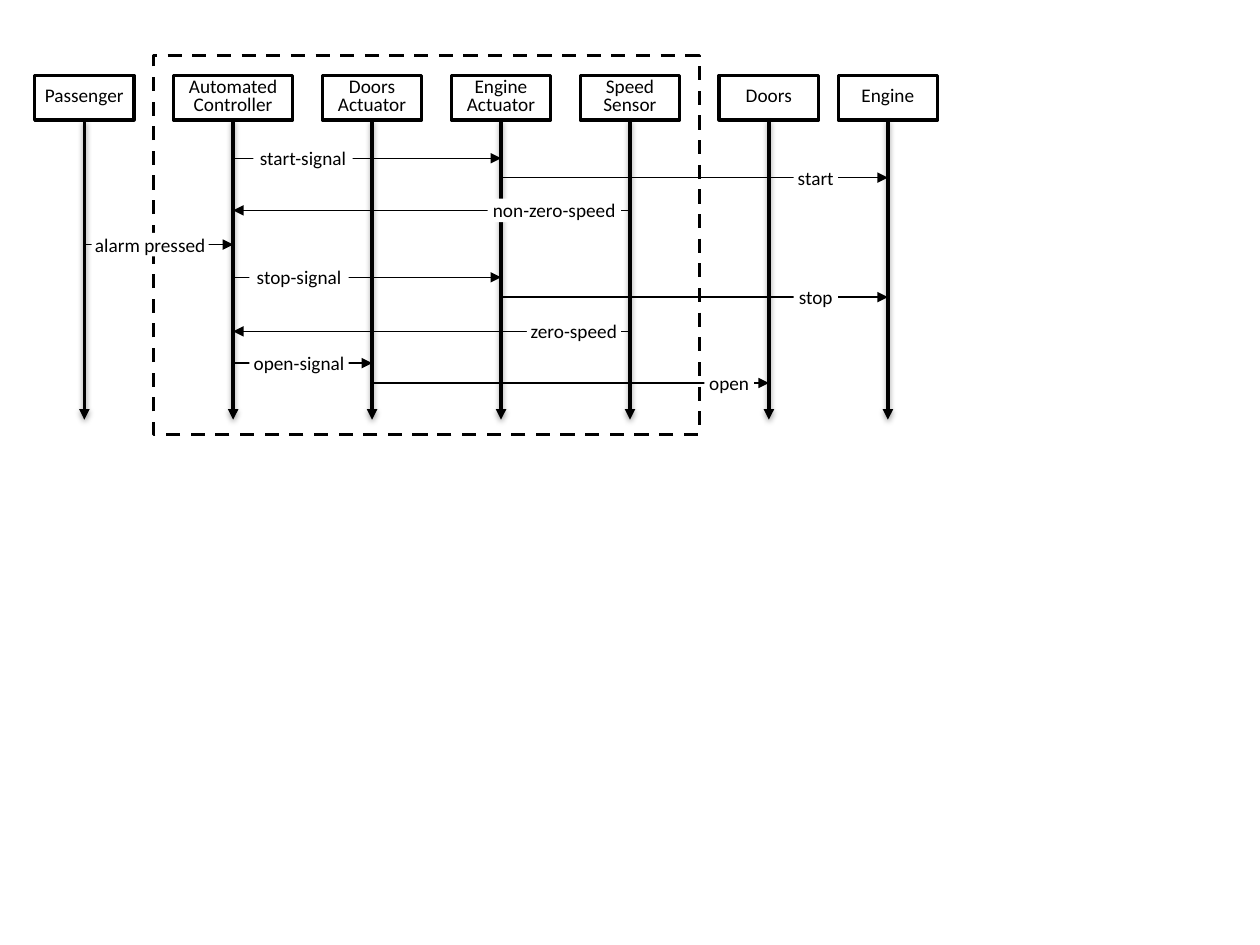
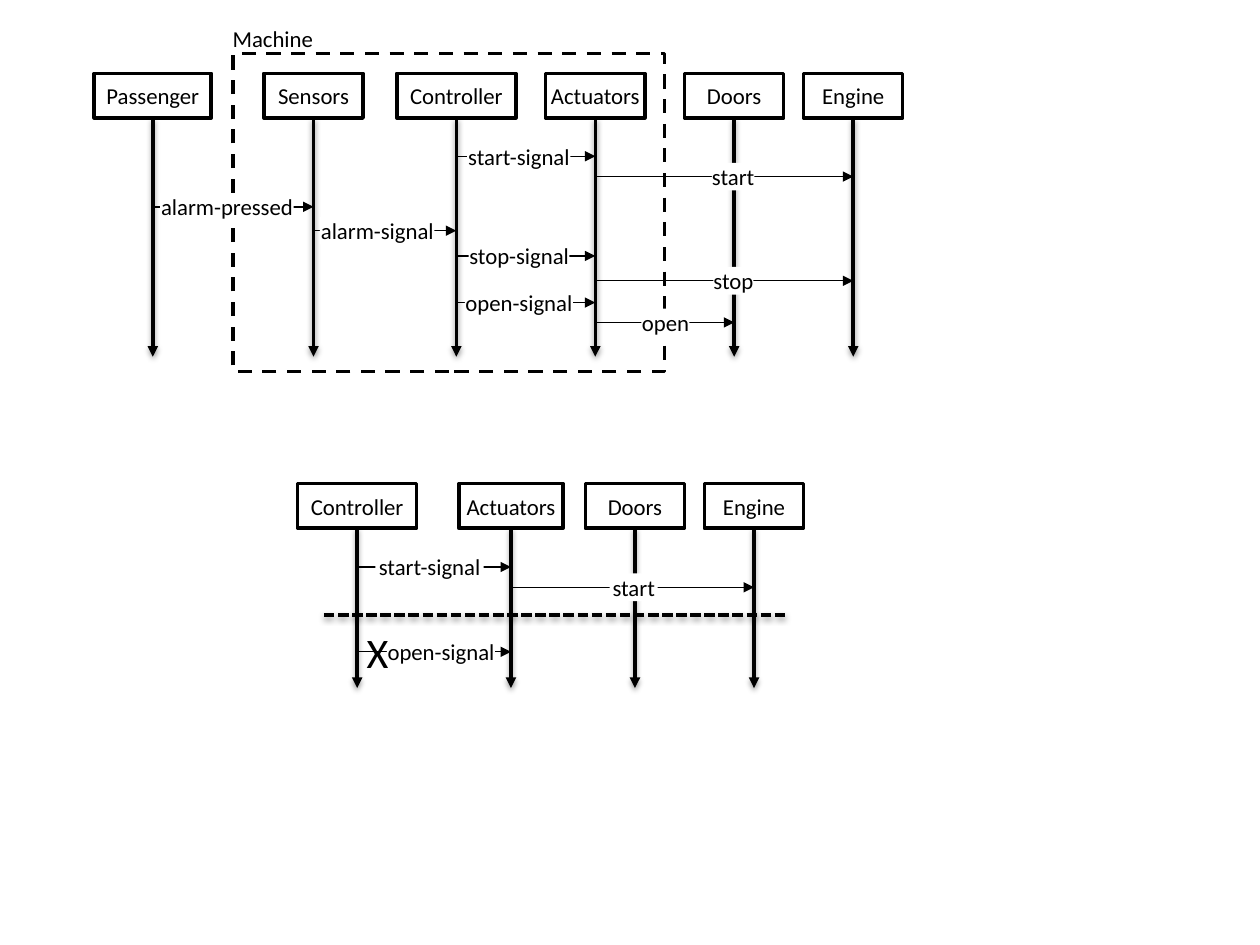
from dataclasses import dataclass

from lxml.etree import SubElement
from pptx import Presentation
from pptx.dml.color import RGBColor
from pptx.enum.dml import MSO_LINE
from pptx.enum.shapes import MSO_CONNECTOR, MSO_SHAPE
from pptx.enum.text import MSO_ANCHOR, MSO_AUTO_SIZE, PP_ALIGN
from pptx.oxml.ns import qn
from pptx.util import Cm, Pt


@dataclass(frozen=True)
class Theme:
    ink: RGBColor = RGBColor(0, 0, 0)
    paper: RGBColor = RGBColor(255, 255, 255)
    font: str = "Calibri"
    small: int = 11
    large: int = 13
    cross: int = 24
    thick: float = 2
    thin: float = 0.75


THEME = Theme()
HEAD = 0.9   # height of a participant box
PAD = 0.4    # frame top to participant boxes
FOOT = 0.3   # lifeline ends to frame bottom


def write(shape, text, size, pad, wrap=True, gap=None, align=PP_ALIGN.CENTER):
    """Fill a shape with one paragraph per line of text."""
    frame = shape.text_frame
    frame.word_wrap = wrap
    if pad is not None:
        side, edge = pad
        frame.margin_left = frame.margin_right = Cm(side)
        frame.margin_top = frame.margin_bottom = Cm(edge)
    for n, line in enumerate(text.split("\n")):
        para = frame.add_paragraph() if n else frame.paragraphs[0]
        para.alignment = align
        if gap:
            para.line_spacing = Pt(gap)
        run = para.add_run()
        run.text = line
        run.font.name = THEME.font
        run.font.size = Pt(size)
        run.font.color.rgb = THEME.ink
    return frame


class Sequence:
    """A sequence diagram placed relative to its box, in centimetres."""

    def __init__(self, slide, left, top, height, size, gap=None):
        self.shapes = slide.shapes.add_group_shape().shapes
        self.left, self.top, self.height = left, top, height
        self.size, self.gap = size, gap
        self.mids = []

    def rect(self, x, y, width, height, border=True):
        box = self.shapes.add_shape(
            MSO_SHAPE.RECTANGLE, Cm(self.left + x), Cm(self.top + y),
            Cm(width), Cm(height))
        box.shadow.inherit = False
        box.fill.solid()
        box.fill.fore_color.rgb = THEME.paper
        if border:
            box.line.color.rgb = THEME.ink
            box.line.width = Pt(THEME.thick)
        else:
            box.line.fill.background()
        return box

    def stroke(self, start, end, width, arrow=True, shade=False, dash=None):
        (x1, y1), (x2, y2) = start, end
        link = self.shapes.add_connector(
            MSO_CONNECTOR.STRAIGHT, Cm(self.left + x1), Cm(self.top + y1),
            Cm(self.left + x2), Cm(self.top + y2))
        link.line.color.rgb = THEME.ink
        link.line.width = Pt(width)
        if dash:
            link.line.dash_style = dash
        props = link._element.spPr
        if arrow:
            SubElement(props.find(qn("a:ln")), qn("a:tailEnd"), type="triangle")
        effects = SubElement(props, qn("a:effectLst"))
        if shade:
            cast = SubElement(effects, qn("a:outerShdw"), blurRad="40000",
                              dist="20000", dir="5400000", rotWithShape="0")
            tone = SubElement(cast, qn("a:srgbClr"), val=str(THEME.ink))
            SubElement(tone, qn("a:alpha"), val="38000")

    def frame(self, x, width, title=None):
        """Draw the dashed machine boundary, with its title above."""
        if title:
            tag = self.rect(x - 0.2, -0.61, 2, 0.61, border=False)
            write(tag, title, self.size, (0.1, 0.1))
            tag.text_frame.vertical_anchor = MSO_ANCHOR.MIDDLE
        edge = self.rect(x, 0, width, self.height)
        edge.line.dash_style = MSO_LINE.DASH

    def actors(self, *rows):
        """Draw boxes from (name, middle, width), then their lifelines."""
        for name, mid, width in rows:
            box = self.rect(mid - width / 2, PAD, width, HEAD)
            text = write(box, name, self.size, (0.1, 0.1), gap=self.gap)
            text.vertical_anchor = MSO_ANCHOR.MIDDLE
            self.mids.append(mid)
        for mid in self.mids:
            self.stroke((mid, PAD + HEAD), (mid, self.height - FOOT),
                        THEME.thick, shade=True)

    def calls(self, *rows):
        """Draw messages from (text, source, target, y, label x, label width)."""
        tall = self.size * 0.043
        for text, source, target, y, x, width in rows:
            self.stroke((self.mids[source], y), (self.mids[target], y), THEME.thin)
            tag = self.rect(x, y - tall / 2, width, tall, border=False)
            label = write(tag, text, self.size, (0, 0), wrap=False)
            label.vertical_anchor = MSO_ANCHOR.TOP
            label.auto_size = MSO_AUTO_SIZE.SHAPE_TO_FIT_TEXT

    def split(self, x1, x2, y):
        self.stroke((x1, y), (x2, y), THEME.thick, arrow=False, shade=True,
                    dash=MSO_LINE.SQUARE_DOT)

    def cross(self, x, y):
        mark = self.shapes.add_textbox(
            Cm(self.left + x), Cm(self.top + y), Cm(0.97), Cm(1.27))
        text = write(mark, "X", THEME.cross, None, wrap=False, align=PP_ALIGN.LEFT)
        text.auto_size = MSO_AUTO_SIZE.SHAPE_TO_FIT_TEXT


def alarm(slide):
    flow = Sequence(slide, 0.7, 1.12, 7.64, THEME.small, gap=10)
    flow.frame(2.4, 11)
    flow.actors(
        ("Passenger", 1, 2),
        ("Automated\nController", 4, 2.4),
        ("Doors Actuator", 6.8, 2),
        ("Engine\nActuator", 9.4, 2),
        ("Speed Sensor", 12, 2),
        ("Doors", 14.8, 2),
        ("Engine", 17.2, 2))
    flow.calls(
        ("alarm pressed", 0, 1, 3.81, 1.15, 2.36),
        ("start-signal", 1, 3, 2.07, 4.41, 2),
        ("start", 3, 6, 2.46, 15.3, 0.89),
        ("non-zero-speed", 4, 1, 3.12, 9.13, 2.69),
        ("stop-signal", 1, 3, 4.47, 4.33, 2),
        ("stop", 3, 6, 4.87, 15.3, 0.89),
        ("zero-speed", 4, 1, 5.56, 9.92, 1.9),
        ("open-signal", 1, 2, 6.2, 4.33, 2),
        ("open", 2, 5, 6.6, 13.5, 1))


def machine(slide):
    flow = Sequence(slide, 1.9, 1.08, 6.41, THEME.large)
    flow.frame(2.8, 8.7, "Machine")
    flow.actors(
        ("Passenger", 1.18, 2.36),
        ("Sensors", 4.42, 2),
        ("Controller", 7.3, 2.4),
        ("Actuators", 10.1, 2),
        ("Doors", 12.9, 2),
        ("Engine", 15.3, 2))
    flow.calls(
        ("alarm-pressed", 0, 1, 3.09, 1.33, 2.69),
        ("start-signal", 2, 3, 2.07, 7.52, 2.08),
        ("start", 3, 5, 2.48, 12.45, 0.86),
        ("stop-signal", 2, 3, 4.08, 7.55, 2.03),
        ("stop", 3, 5, 4.58, 12.48, 0.81),
        ("open-signal", 2, 3, 5.02, 7.47, 2.18),
        ("open", 3, 4, 5.42, 11.03, 0.97),
        ("alarm-signal", 1, 2, 3.57, 4.55, 2.31))


def banned(slide):
    """Draw the sequence whose last message must not occur."""
    flow = Sequence(slide, 5.7, 9.35, 4.82, THEME.large)
    flow.split(0.83, 10.12, 3.05)
    flow.actors(
        ("Controller", 1.5, 2.4),
        ("Actuators", 4.6, 2.1),
        ("Doors", 7.1, 2),
        ("Engine", 9.5, 2))
    flow.calls(
        ("start-signal", 0, 1, 2.08, 1.87, 2.18),
        ("start", 1, 3, 2.49, 6.59, 0.97),
        ("open-signal", 0, 1, 3.79, 2.1, 2.18))
    flow.cross(1.44, 3.15)


def main():
    deck = Presentation()
    deck.slide_width, deck.slide_height = Cm(25.4), Cm(19.05)
    blank = deck.slide_layouts[6]
    for parts in ((alarm,), (machine, banned)):
        slide = deck.slides.add_slide(blank)
        for draw in parts:
            draw(slide)
    deck.save("out.pptx")


if __name__ == "__main__":
    main()
